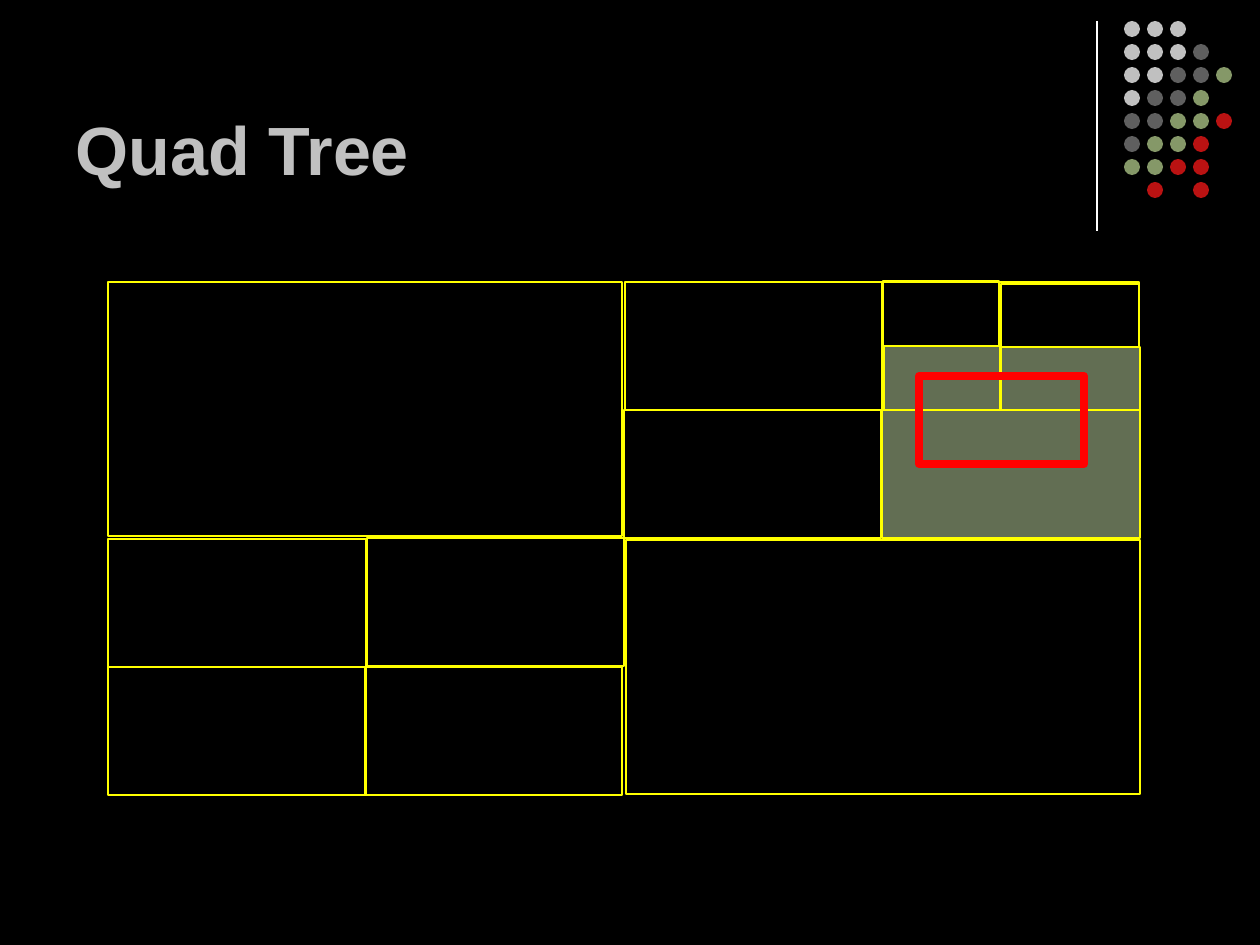
from lxml import etree
from pptx import Presentation
from pptx.dml.color import RGBColor
from pptx.enum.shapes import MSO_CONNECTOR, MSO_SHAPE
from pptx.enum.text import MSO_ANCHOR
from pptx.oxml.ns import qn
from pptx.util import Pt

PX = 914400 / 126
YELLOW, RED, GREEN = "FFFF00", "FF0000", "626E53"

TITLE = "Quad Tree"

# Dot ornament: one letter per dot, a blank where there is none
DOT_COLORS = {"L": "C0C0C0", "D": "5F5F5F", "G": "859968", "R": "BA1212"}
DOT_COLORS["G"] = "859868"
DOT_ROWS = ["LLL", "LLLD", "LLDDG", "LDDG", "DDGGR", "DGGR", "GGRR", " R R"]
DOT_LEFT, DOT_TOP, DOT_STEP, DOT_SIZE = 1124, 21, 23, 16

# Rectangles, back to front: left, top, width, height, fill, line, points
LEAF = (None, YELLOW, 1.5)
HIT = (GREEN, YELLOW, 1.5)
QUERY = (None, RED, 4.5)
CELLS = [
    # bottom-left quadrant
    (108, 539, 258, 128, LEAF),
    (108, 667, 258, 128, LEAF),
    (367, 538, 257, 128, LEAF),
    (365, 667, 257, 128, LEAF),
    # top-right quadrant
    (625, 282, 257, 128, LEAF),
    (624, 410, 257, 128, LEAF),
    (882, 282, 257, 128, LEAF),
    (882, 410, 258, 128, HIT),
    # bottom-right quadrant
    (626, 540, 514, 254, LEAF),
    # subdivided corner of the top-right quadrant
    (883, 281, 116, 65, LEAF),
    (884, 346, 116, 64, HIT),
    (1001, 284, 138, 64, LEAF),
    (1001, 347, 139, 63, HIT),
    # query window
    (919, 376, 165, 88, QUERY),
    # top-left quadrant
    (108, 282, 514, 254, LEAF),
]


def px(*values):
    return [round(v * PX) for v in values]


def rgb(hex_color):
    return RGBColor.from_string(hex_color)


def add_shape(shapes, kind, box, fill=None, line=None, width=0):
    sp = shapes.add_shape(kind, *px(*box))
    sp.shadow.inherit = False
    if fill:
        sp.fill.solid()
        sp.fill.fore_color.rgb = rgb(fill)
    else:
        sp.fill.background()
    if line:
        sp.line.color.rgb = rgb(line)
        sp.line.width = Pt(width)
    else:
        sp.line.fill.background()
    return sp


prs = Presentation()
prs.slide_width, prs.slide_height = px(1260, 945)
s = prs.slides.add_slide(prs.slide_layouts[6])
s.background.fill.solid()
s.background.fill.fore_color.rgb = rgb("000000")

# Vertical rule beside the ornament
rule = s.shapes.add_connector(MSO_CONNECTOR.STRAIGHT, *px(1097, 21, 1097, 231))
rule.line.color.rgb = rgb("FFFFFF")
rule.line.width = Pt(0.75)
etree.SubElement(rule._element.spPr, qn("a:effectLst"))

# Dot ornament
dots = s.shapes.add_group_shape()
for row, letters in enumerate(DOT_ROWS):
    for col, letter in enumerate(letters):
        if letter in DOT_COLORS:
            box = (DOT_LEFT + col * DOT_STEP, DOT_TOP + row * DOT_STEP,
                   DOT_SIZE, DOT_SIZE)
            add_shape(dots.shapes, MSO_SHAPE.OVAL, box, DOT_COLORS[letter])

# Title
tf = s.shapes.add_textbox(*px(63, 16, 1040, 179)).text_frame
tf.word_wrap = True
tf.vertical_anchor = MSO_ANCHOR.BOTTOM
p = tf.paragraphs[0]
p.text = TITLE
p.font.name, p.font.size, p.font.bold = "Arial", Pt(39), True
p.font.color.rgb = rgb("C0C0C0")

# Quad tree cells and query window
for *box, style in CELLS:
    add_shape(s.shapes, MSO_SHAPE.RECTANGLE, box, *style)

prs.save("out.pptx")
